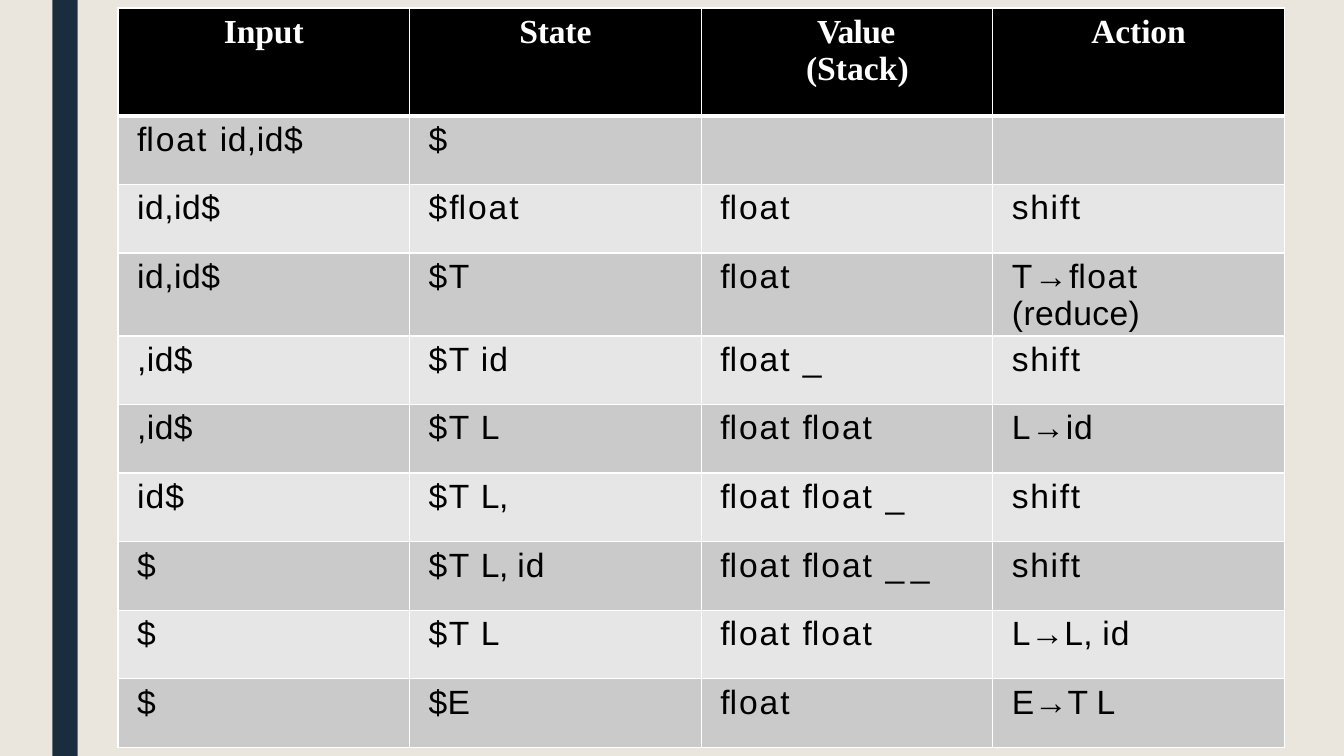
"""Build the shift-reduce parsing trace slide."""
from lxml import etree
from pptx import Presentation
from pptx import util as u
from pptx.dml.color import RGBColor
from pptx.enum import shapes, text
from pptx.oxml.ns import qn

WIDTH, HEIGHT = 13.33, 7.5
CREAM = RGBColor(0xEB, 0xE6, 0xDD)
NAVY = RGBColor(0x1A, 0x2D, 0x3F)
BLACK = RGBColor(0, 0, 0)
WHITE = RGBColor(0xFF, 0xFF, 0xFF)
DARK_BAND = RGBColor(0xCA, 0xCA, 0xCA)
LIGHT_BAND = RGBColor(0xE6, 0xE6, 0xE6)
THIN, THICK = 0.96, 3
HEADER_HEIGHT, ROW_HEIGHT = 1.07, 0.68

FLOAT = ("ﬂoat", 1.4)
FLOAT_ = ("ﬂoat ", 1.4)
TWO_FLOATS = ("ﬂoat ﬂoat", 1.4)
TWO_FLOATS_ = ("ﬂoat ﬂoat ", 1.4)
STATE_T = ("$T ", 1)
LIST = ("L", 1.1)
ID = ("id", 0.7)
END = ("$", 0)
SHIFT = ("shift", 1.2)
BLANK_MARK = ("_", -1)

HEADINGS = [
    [("Input", -0.1)],
    [("State", -0.1)],
    [("Value ", -0.5), ("(Stack)", 0)],
    [("Action", -0.1)],
]
STEPS = [
    [[FLOAT_, ("id,id$", 0.4)], [END], [], []],
    [[("id,id$", 0.4)], [("$ﬂoat", 1.4)], [FLOAT], [SHIFT]],
    [[("id,id$", 0.4)], [("$T", 1)], [FLOAT], [("T→ﬂoat ", 1.1), ("(reduce)", 0.3)]],
    [[(",id$", 0.3)], [STATE_T, ID], [FLOAT_, BLANK_MARK], [SHIFT]],
    [[(",id$", 0.3)], [STATE_T, LIST], [TWO_FLOATS], [("L→id", 0.6)]],
    [[("id$", 0.8)], [STATE_T, ("L,", -0.3)], [TWO_FLOATS_, BLANK_MARK], [SHIFT]],
    [[END], [STATE_T, ("L, ", -0.3), ID], [TWO_FLOATS_, ("_ _", -1)], [SHIFT]],
    [[END], [STATE_T, LIST], [TWO_FLOATS], [("L→L, ", 0.1), ID]],
    [[END], [("$E", 0.1)], [FLOAT], [("E→T ", -0.1), LIST]],
]


def add_text(paragraph, wording, font="Arial", color=BLACK, bold=False, spacing=0):
    """Add one formatted run to a paragraph."""
    run = paragraph.add_run()
    run.text = wording
    run.font.name = font
    run.font.size = u.Pt(24)
    run.font.bold = bold
    run.font.color.rgb = color
    run.font._element.set("spc", str(round(spacing * 100)))


def indent(paragraph, margin, first=0):
    """Set a paragraph's left margin and first-line indent."""
    properties = paragraph._p.get_or_add_pPr()
    properties.set("marL", str(u.Inches(margin)))
    properties.set("indent", str(u.Inches(first)))


def dress_cell(cell, color, top=THIN, bottom=THIN):
    """Give a cell white borders, a fill and its margins."""
    properties = cell._tc.get_or_add_tcPr()
    for side, weight in zip("LRTB", (THIN, THIN, top, bottom)):
        line = etree.SubElement(properties, qn(f"a:ln{side}"), w=str(u.Pt(weight)))
        fill = etree.SubElement(line, qn("a:solidFill"))
        etree.SubElement(fill, qn("a:srgbClr"), val=str(WHITE))
    cell.fill.solid()
    cell.fill.fore_color.rgb = color
    cell.margin_left = cell.margin_right = u.Inches(0.1)
    cell.margin_top = u.Inches(0.05)
    cell.margin_bottom = u.Inches(0.03)


def fill_header(cells):
    """Write the column headings into the top row."""
    for cell, pieces in zip(cells, HEADINGS):
        dress_cell(cell, BLACK, bottom=THICK)
        heading = cell.text_frame.paragraphs[0]
        if len(pieces) > 1:
            indent(heading, 0.94, 0.11)
        else:
            heading.alignment = text.PP_ALIGN.CENTER
        for wording, spacing in pieces:
            add_text(heading, wording, font="Times New Roman", color=WHITE,
                     bold=True, spacing=spacing)


def fill_step(cells, step, number):
    """Write one parsing step into a banded row."""
    for cell, pieces in zip(cells, step):
        dress_cell(cell, LIGHT_BAND if number % 2 else DARK_BAND,
                   top=THIN if number else THICK)
        cell.margin_right = u.Inches(0.2)
        entry = cell.text_frame.paragraphs[0]
        indent(entry, 0.09)
        for wording, spacing in pieces:
            add_text(entry, wording, spacing=spacing)


def add_trace(slide, left, top, width):
    """Add the parsing trace table in the given box."""
    height = HEADER_HEIGHT + ROW_HEIGHT * len(STEPS)
    trace = slide.shapes.add_table(
        len(STEPS) + 1, len(HEADINGS),
        *map(u.Inches, (left, top, width, height))).table
    trace.horz_banding = False
    for column in trace.columns:
        column.width = u.Inches(width / len(HEADINGS))
    header, *rows = trace.rows
    header.height = u.Inches(HEADER_HEIGHT)
    fill_header(header.cells)
    for number, (row, step) in enumerate(zip(rows, STEPS)):
        row.height = u.Inches(ROW_HEIGHT)
        fill_step(row.cells, step, number)


def add_backdrop(slide, stripe_left, stripe_right):
    """Fill the slide with cream panels on both sides of a navy stripe."""
    panels = [(stripe_right, WIDTH, CREAM), (0, stripe_left, CREAM),
              (stripe_left, stripe_right, NAVY)]
    for left, right, color in panels:
        panel = slide.shapes.add_shape(
            shapes.MSO_SHAPE.RECTANGLE,
            *map(u.Inches, (left, 0, right - left, HEIGHT)))
        panel.shadow.inherit = False
        panel.fill.solid()
        panel.fill.fore_color.rgb = color
        panel.line.fill.background()


def main():
    """Build and save the slide."""
    deck = Presentation()
    deck.slide_width, deck.slide_height = u.Inches(WIDTH), u.Inches(HEIGHT)
    slide = deck.slides.add_slide(deck.slide_layouts[6])
    add_backdrop(slide, 0.52, 0.77)
    add_trace(slide, 1.17, 0.08, 11.57)
    deck.save("out.pptx")


if __name__ == "__main__":
    main()
